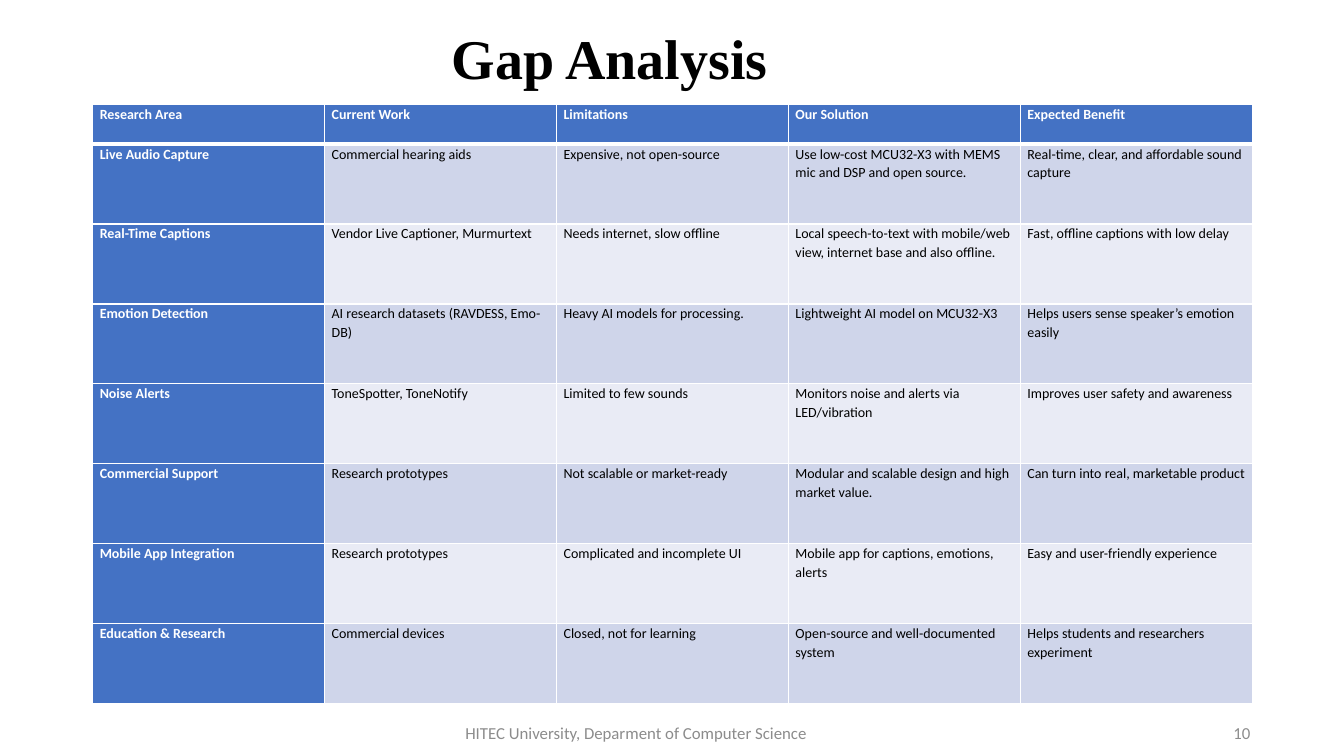
import pptx
import pptx.dml.color
import pptx.enum.text
import pptx.oxml
import pptx.oxml.ns
import pptx.util

Inches = pptx.util.Inches
Pt = pptx.util.Pt
ALIGN = pptx.enum.text.PP_ALIGN
ANCHOR = pptx.enum.text.MSO_ANCHOR

WHITE, BLACK, GREY, BLUE = "FFFFFF", "000000", "8C8C8C", "4472C4"
BANDS = ("CFD5EA", "E9EBF5")

TITLE_FONT = {"name": "Times New Roman", "size": Pt(40), "bold": True}
FOOTER_FONT = {"name": "Calibri", "size": Pt(12)}
HEAD_FONT = {"name": "Calibri", "size": Pt(10), "bold": True}
BODY_FONT = {"name": "Calibri", "size": Pt(10), "bold": False}
CELL_SPACING = {"line_spacing": 1.1, "space_after": Pt(13.6)}
CELL_MARGINS = {
    "margin_left": Inches(0.07),
    "margin_right": Inches(0.07),
    "margin_top": 0,
    "margin_bottom": 0,
}

GAPS = [
    ("Research Area", "Current Work", "Limitations", "Our Solution", "Expected Benefit"),
    ("Live Audio Capture", "Commercial hearing aids", "Expensive, not open-source",
     "Use low-cost MCU32-X3 with MEMS mic and DSP and open source.",
     "Real-time, clear, and affordable sound capture"),
    ("Real-Time Captions", "Vendor Live Captioner, Murmurtext", "Needs internet, slow offline",
     "Local speech-to-text with mobile/web view, internet base and also offline.",
     "Fast, offline captions with low delay"),
    ("Emotion Detection", "AI research datasets (RAVDESS, Emo-DB)",
     "Heavy AI models for processing.", "Lightweight AI model on MCU32-X3",
     "Helps users sense speaker’s emotion easily"),
    ("Noise Alerts", "ToneSpotter, ToneNotify", "Limited to few sounds",
     "Monitors noise and alerts via LED/vibration", "Improves user safety and awareness"),
    ("Commercial Support", "Research prototypes", "Not scalable or market-ready",
     "Modular and scalable design and high market value.",
     "Can turn into real, marketable product"),
    ("Mobile App Integration", "Research prototypes", "Complicated and incomplete UI",
     "Mobile app for captions, emotions, alerts", "Easy and user-friendly experience"),
    ("Education & Research", "Commercial devices", "Closed, not for learning",
     "Open-source and well-documented system", "Helps students and researchers experiment"),
]


def colour(value):
    return pptx.dml.color.RGBColor.from_string(value)


def apply(target, values):
    for name, value in values.items():
        setattr(target, name, value)


def write(frame, text, font, text_colour, align, spacing=None):
    para = frame.paragraphs[0]
    apply(para, {"alignment": align, **(spacing or {})})
    span = para.add_run()
    span.text = text
    apply(span.font, font)
    span.font.color.rgb = colour(text_colour)


def place(shape, box):
    sides = ("left", "top", "width", "height")
    apply(shape, {side: Inches(length) for side, length in zip(sides, box)})


def add_title(page, box, text):
    title = page.shapes.title
    place(title, box)
    apply(title.text_frame, {
        "word_wrap": True,
        "vertical_anchor": ANCHOR.TOP,
        "auto_size": pptx.enum.text.MSO_AUTO_SIZE.SHAPE_TO_FIT_TEXT,
    })
    write(title.text_frame, text, TITLE_FONT, BLACK, ALIGN.LEFT)


def add_footer(page, box, text, align):
    footer = page.shapes.add_textbox(0, 0, 0, 0)
    place(footer, box)
    apply(footer.text_frame, {"word_wrap": True, "vertical_anchor": ANCHOR.MIDDLE})
    write(footer.text_frame, text, FOOTER_FONT, GREY, align)


def add_borders(cell, widths):
    properties = cell._tc.get_or_add_tcPr()
    for side, width in widths.items():
        properties.append(pptx.oxml.parse_xml(
            f'<a:ln{side} {pptx.oxml.ns.nsdecls("a")} w="{Pt(width)}">'
            f'<a:solidFill><a:srgbClr val="{WHITE}"/></a:solidFill></a:ln{side}>'))


def fill_cell(cell, row, column, text):
    heading = row == 0 or column == 0
    add_borders(cell, {"L": 1, "R": 1, "T": 3 if row == 1 else 1, "B": 3 if row == 0 else 1})
    cell.fill.solid()
    cell.fill.fore_color.rgb = colour(BLUE if heading else BANDS[(row - 1) % 2])
    apply(cell, CELL_MARGINS)
    write(
        cell.text_frame,
        text,
        HEAD_FONT if heading else BODY_FONT,
        WHITE if heading else BLACK,
        ALIGN.JUSTIFY if heading else ALIGN.LEFT,
        CELL_SPACING,
    )


def add_gap_table(page, box, rows, head_height):
    left, top, width, height = box
    table = page.shapes.add_table(
        len(rows), len(rows[0]), Inches(left), Inches(top), Inches(width), Inches(height)).table
    for column in table.columns:
        column.width = Inches(width / len(rows[0]))
    body_height = (height - head_height) / (len(rows) - 1)
    for row, texts in enumerate(rows):
        table.rows[row].height = Inches(body_height if row else head_height)
        for column, text in enumerate(texts):
            fill_cell(table.cell(row, column), row, column, text)


def main():
    deck = pptx.Presentation()
    apply(deck, {"slide_width": Inches(13.33), "slide_height": Inches(7.5)})
    page = deck.slides.add_slide(deck.slide_layouts[5])
    add_title(page, (4.38, 0.18, 6.66, 0.77), "Gap Analysis")
    add_footer(page, (4.06, 7.07, 4.5, 0.4),
               "HITEC University, Deparment of Computer Science", ALIGN.CENTER)
    add_footer(page, (9.5, 7.07, 3, 0.4), "10", ALIGN.RIGHT)
    add_gap_table(page, (0.92, 1.04, 11.5, 5.94), GAPS, 0.39)
    deck.save("out.pptx")


if __name__ == "__main__":
    main()
